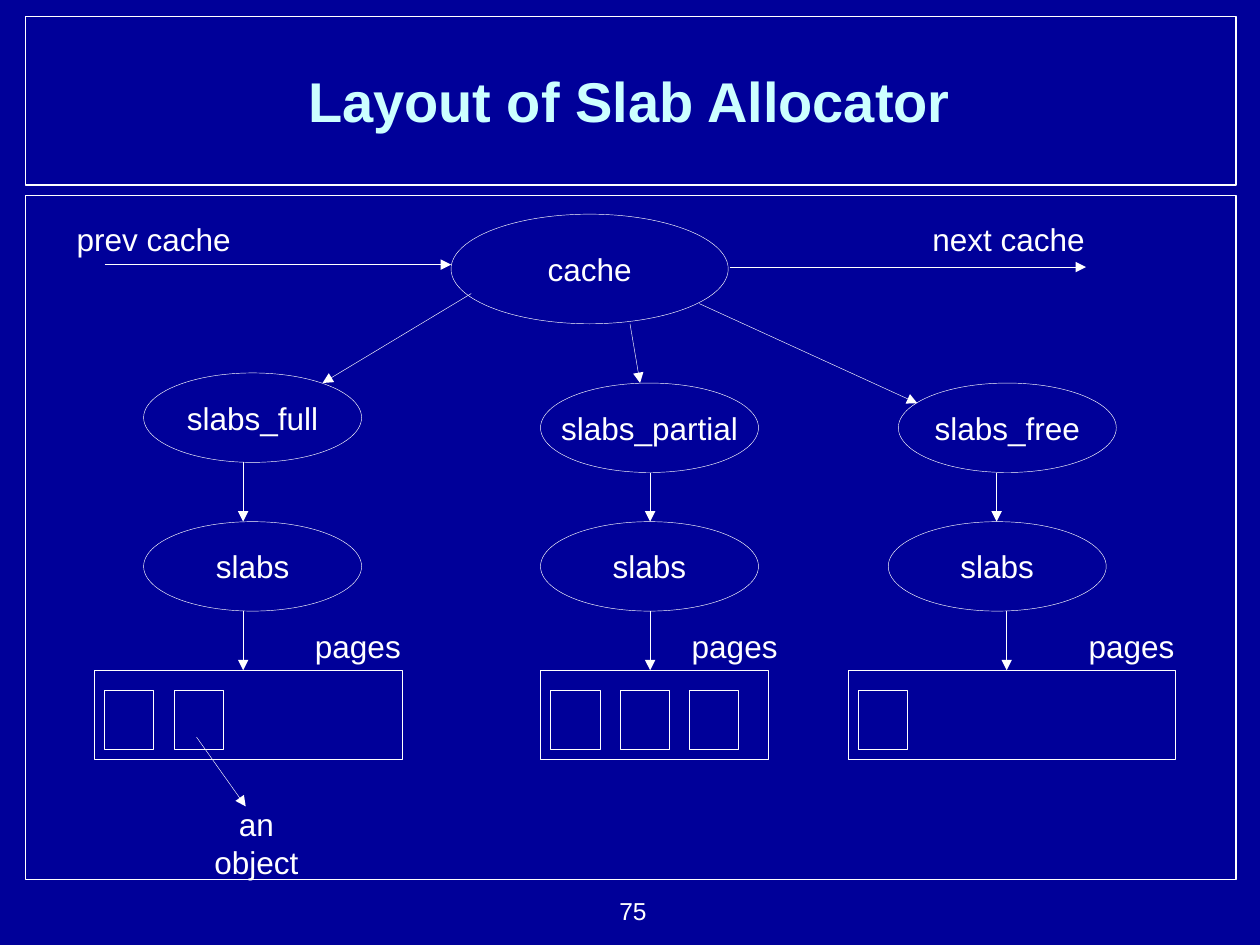
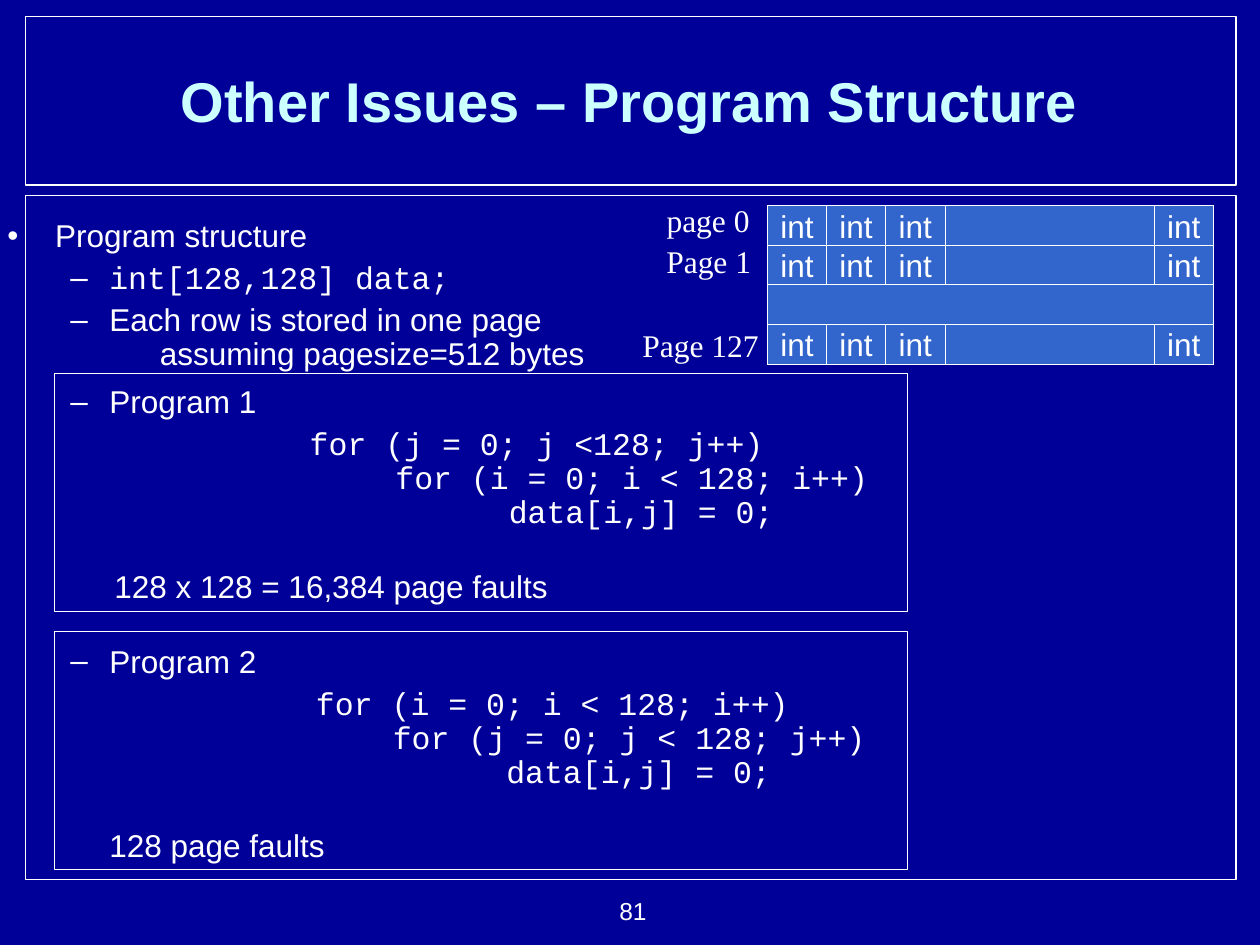
from dataclasses import dataclass

from lxml.etree import SubElement
from pptx import Presentation
from pptx.dml.color import RGBColor
from pptx.enum.shapes import MSO_CONNECTOR as Connector, MSO_SHAPE as Shape
from pptx.enum.text import MSO_ANCHOR as Anchor, PP_ALIGN as Align
from pptx.oxml.ns import qn
from pptx.util import Inches, Pt


@dataclass(frozen=True)
class Theme:
    background: str = "000099"
    title: str = "CCFFFF"
    ink: str = "FFFFFF"
    cell: str = "3366CC"
    sans: str = "Arial"
    serif: str = "Times New Roman"
    mono: str = "Courier New"
    title_size: int = 32
    text_size: int = 18
    number_size: int = 14
    frame_line: float = 0.75
    thin_line: float = 0.25


THEME = Theme()

# Shared frame: left, top, width, height in inches
FRAMES = [(0.2, 0.13, 9.61, 1.34), (0.2, 1.55, 9.61, 5.43)]
TITLE_BOX = (0.35, 0.17, 9.29, 1.25)
NUMBER_BOX = (4.19, 7.06, 1.04, 0.34)

# Slab allocator
CACHE = ("cache", (3.58, 1.7, 2.2, 0.87))
SLAB_SIZE = (1.73, 0.71)
SLABS_TOP, PAGES_TOP, PAGES_HEIGHT = 4.14, 5.32, 0.71
OBJECT_TOP, OBJECT_SIZE, OBJECT_PITCH, OBJECT_INSET = 5.48, (0.39, 0.47), 0.55, 0.08
CHAINS = [
    {"list": "slabs_full", "list_at": (1.14, 2.96), "slabs_left": 1.14, "arrows": (1.93, 1.93),
     "pages": (0.75, 2.44), "objects": 2, "label_left": 2.4},
    {"list": "slabs_partial", "list_at": (4.29, 3.04), "slabs_left": 4.29, "arrows": (5.16, 5.16),
     "pages": (4.29, 1.81), "objects": 3, "label_left": 5.39},
    {"list": "slabs_free", "list_at": (7.13, 3.04), "slabs_left": 7.05, "arrows": (7.91, 7.99),
     "pages": (6.73, 2.6), "objects": 1, "label_left": 8.54},
]
CACHE_ARROWS = [
    ((0.83, 2.1), (3.58, 2.1)),
    ((5.79, 2.12), (8.62, 2.12)),
    ((3.74, 2.33), (2.56, 3.04)),
    ((5, 2.57), (5.08, 3.04)),
    ((5.55, 2.41), (7.28, 3.2)),
]
OBJECT_ARROW = ((1.56, 5.85), (1.95, 6.4))
SLAB_LABELS = [
    ("prev cache", (0.51, 1.7, 1.42, 0.4)),
    ("next cache", (7.3, 1.7, 1.41, 0.4)),
    ("an object", (1.43, 6.34, 1.21, 0.4)),
]

# Program structure: text, style, space before in points
BODY_BOX = (-0.04, 1.7, 8.26, 5.46)
BODY = [
    ("Program structure", "topic", 0),
    ("int[128,128] data;", "declaration", 4.5),
    ("Each row is stored in one page", "point", 4.5),
    ("Program 1", "point", 27.6),
    ("                for (j = 0; j <128; j++)\v"
     "                  for (i = 0; i < 128; i++)\v"
     "                        data[i,j] = 0;", "outer code", 4.5),
    ("128 x 128 = 16,384 page faults", "first result", 23),
    ("Program 2", "point", 23.5),
    ("             for (i = 0; i < 128; i++)\v"
     "               for (j = 0; j < 128; j++)\v"
     "                     data[i,j] = 0;", "inner code", 4.5),
    ("128 page faults", "second result", 23),
]
# Left margin, first-line indent, bullet, font
BODY_STYLES = {
    "topic": (0.38, -0.38, "•", THEME.sans),
    "point": (0.81, -0.31, "–", THEME.sans),
    "declaration": (0.81, -0.31, "–", THEME.mono),
    "outer code": (0.38, -0.38, None, THEME.mono),
    "inner code": (0.81, -0.31, None, THEME.mono),
    "first result": (0.85, 0, None, THEME.sans),
    "second result": (0.81, 0, None, THEME.sans),
}
PROGRAM_BOXES = [(0.43, top, 6.77, 1.89) for top in (2.96, 5.01)]
ASSUMPTION = ("assuming pagesize=512 bytes", (1.17, 2.6, 3.57, 0.4))
MEMORY_LEFT, MEMORY_TOP, MEMORY_WIDTH = 6.09, 1.63, 3.54
ROW_PITCH, CELL_SIZE = 0.314, (0.47, 0.32)
INT_LEFTS = [MEMORY_LEFT + column * CELL_SIZE[0] for column in range(3)]
INT_LEFTS.append(MEMORY_LEFT + MEMORY_WIDTH - CELL_SIZE[0])
MEMORY_ROWS = ["int", "int", None, "int"]
PAGE_LABELS = [
    ("page 0", (5.19, 1.55, 0.86, 0.4)),
    ("Page 1", (5.19, 1.87, 0.87, 0.4)),
    ("Page 127", (5, 2.54, 1.12, 0.4)),
]


def inches(values):
    return [Inches(value) for value in values]


def color(value):
    return RGBColor.from_string(value)


def style_runs(paragraph, ink=THEME.ink, **formats):
    formats = {"name": THEME.sans, "size": Pt(THEME.text_size), **formats}
    for run in paragraph.runs:
        run.font.color.rgb = color(ink)
        for name, value in formats.items():
            setattr(run.font, name, value)


def write(shape, text, align=Align.CENTER, anchor=Anchor.MIDDLE, wrap=False, **formats):
    """Put one formatted paragraph into a shape."""
    frame = shape.text_frame
    frame.word_wrap = wrap
    frame.vertical_anchor = anchor
    paragraph = frame.paragraphs[0]
    paragraph.text = text
    paragraph.alignment = align
    style_runs(paragraph, **formats)


def add_label(slide, text, box, anchor=Anchor.TOP, **options):
    write(slide.shapes.add_textbox(*inches(box)), text, anchor=anchor, **options)


def add_outline(slide, box, text=None, kind=Shape.RECTANGLE, fill=None, width=THEME.thin_line):
    shape = slide.shapes.add_shape(kind, *inches(box))
    shape.shadow.inherit = False
    if fill:
        shape.fill.solid()
        shape.fill.fore_color.rgb = color(fill)
    else:
        shape.fill.background()
    shape.line.color.rgb = color(THEME.ink)
    shape.line.width = Pt(width)
    if text:
        write(shape, text)


def add_arrow(slide, start, end):
    arrow = slide.shapes.add_connector(Connector.STRAIGHT, *inches(start + end))
    arrow.line.color.rgb = color(THEME.ink)
    arrow.line.width = Pt(THEME.thin_line)
    SubElement(arrow.line._get_or_add_ln(), qn("a:tailEnd"), type="triangle")
    SubElement(arrow._element.spPr, qn("a:effectLst"))


def add_slide(presentation, title, number):
    """Add a slide with the shared frames, title and number."""
    slide = presentation.slides.add_slide(presentation.slide_layouts[6])
    for box in FRAMES:
        add_outline(slide, box, width=THEME.frame_line)
    add_label(slide, title, TITLE_BOX, anchor=Anchor.MIDDLE, wrap=True,
              ink=THEME.title, size=Pt(THEME.title_size), bold=True)
    add_label(slide, number, NUMBER_BOX, align=Align.RIGHT, wrap=True,
              size=Pt(THEME.number_size))
    return slide


def add_chain(slide, chain):
    """Draw one slab list down to its pages and their objects."""
    list_left, list_top = chain["list_at"]
    pages_left, pages_width = chain["pages"]
    upper_x, lower_x = chain["arrows"]
    slab_width, slab_height = SLAB_SIZE
    add_outline(slide, (list_left, list_top, *SLAB_SIZE), chain["list"], Shape.OVAL)
    add_outline(slide, (chain["slabs_left"], SLABS_TOP, *SLAB_SIZE), "slabs", Shape.OVAL)
    add_outline(slide, (pages_left, PAGES_TOP, pages_width, PAGES_HEIGHT))
    for index in range(chain["objects"]):
        left = pages_left + OBJECT_INSET + index * OBJECT_PITCH
        add_outline(slide, (left, OBJECT_TOP, *OBJECT_SIZE))
    add_arrow(slide, (upper_x, list_top + slab_height), (upper_x, SLABS_TOP))
    add_arrow(slide, (lower_x, SLABS_TOP + slab_height), (lower_x, PAGES_TOP))
    add_label(slide, "pages", (chain["label_left"], 4.93, 0.88, 0.4))


def build_slab_slide(presentation):
    slide = add_slide(presentation, "Layout of Slab Allocator", "75")
    text, box = CACHE
    add_outline(slide, box, text, Shape.OVAL)
    for chain in CHAINS:
        add_chain(slide, chain)
    for start, end in [*CACHE_ARROWS, OBJECT_ARROW]:
        add_arrow(slide, start, end)
    for text, box in SLAB_LABELS:
        add_label(slide, text, box)


def add_bullet(properties, bullet):
    if bullet is None:
        SubElement(properties, qn("a:buNone"))
        return
    bullet_color = SubElement(properties, qn("a:buClr"))
    SubElement(bullet_color, qn("a:srgbClr"), val=THEME.ink)
    SubElement(properties, qn("a:buFont"), typeface=THEME.sans)
    SubElement(properties, qn("a:buChar"), char=bullet)


def add_body(slide):
    frame = slide.shapes.add_textbox(*inches(BODY_BOX)).text_frame
    frame.word_wrap = True
    for index, (text, style, space) in enumerate(BODY):
        margin, indent, bullet, font = BODY_STYLES[style]
        paragraph = frame.add_paragraph() if index else frame.paragraphs[0]
        properties = paragraph._p.get_or_add_pPr()
        properties.set("marL", str(Inches(margin)))
        properties.set("indent", str(Inches(indent)))
        add_bullet(properties, bullet)
        paragraph.line_spacing = 0.9
        paragraph.space_before = Pt(space)
        paragraph.text = text
        style_runs(paragraph, name=font)


def add_memory_map(slide):
    for row, text in enumerate(MEMORY_ROWS):
        top = MEMORY_TOP + row * ROW_PITCH
        add_outline(slide, (MEMORY_LEFT, top, MEMORY_WIDTH, CELL_SIZE[1]), fill=THEME.cell)
        if text:
            for left in INT_LEFTS:
                add_outline(slide, (left, top, *CELL_SIZE), text, fill=THEME.cell)
    for text, box in PAGE_LABELS:
        add_label(slide, text, box, name=THEME.serif)


def build_program_slide(presentation):
    slide = add_slide(presentation, "Other Issues – Program Structure", "81")
    add_body(slide)
    add_memory_map(slide)
    for box in PROGRAM_BOXES:
        add_outline(slide, box)
    add_label(slide, *ASSUMPTION)


def main():
    presentation = Presentation()
    presentation.slide_width, presentation.slide_height = inches((10, 7.5))
    background = presentation.slide_master.background.fill
    background.solid()
    background.fore_color.rgb = color(THEME.background)
    build_slab_slide(presentation)
    build_program_slide(presentation)
    presentation.save("out.pptx")


if __name__ == "__main__":
    main()
